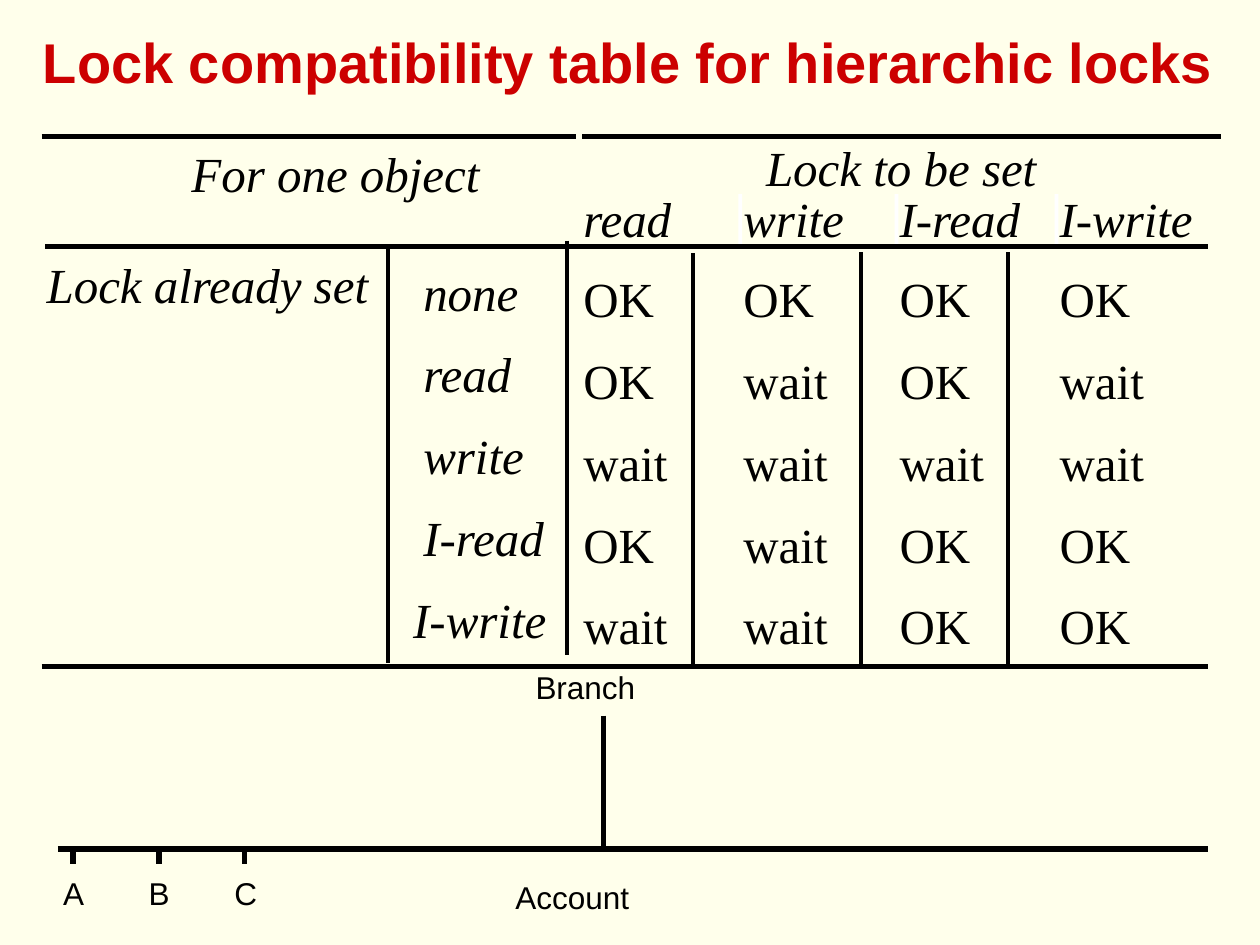
"""Build the slide on lock compatibility for hierarchic locks."""
from lxml.etree import SubElement
from pptx import Presentation
from pptx.dml.color import RGBColor
from pptx.enum.shapes import MSO_CONNECTOR as LINK, MSO_SHAPE as FORM
from pptx.enum.text import MSO_ANCHOR as ANCHOR, MSO_AUTO_SIZE as FIT, PP_ALIGN as ALIGN
from pptx.oxml.ns import qn
from pptx.util import Inches as Inch, Pt

hue = RGBColor.from_string
deck = Presentation()
deck.slide_width, deck.slide_height = Inch(10), Inch(7.5)
slide = deck.slides.add_slide(deck.slide_layouts[5])
slide.background.fill.solid()
slide.background.fill.fore_color.rgb = hue("FFFFEB")
shapes = slide.shapes


def write(text, x, y, wide, high=0.47, shape=None, size=28, face="Times New Roman",
          color="000000", bold=False, slant=False):
    box = shape or shapes.add_textbox(0, 0, 0, 0)
    box.left, box.top, box.width, box.height = map(Inch, (x, y, wide, high))
    frame = box.text_frame
    frame.text = text
    frame.word_wrap = shape is not None
    frame.auto_size = FIT.SHAPE_TO_FIT_TEXT
    frame.vertical_anchor = ANCHOR.TOP
    frame.margin_left = frame.margin_right = Inch(0.1 if shape else 0)
    frame.margin_top = frame.margin_bottom = Inch(0.05 if shape else 0)
    para = frame.paragraphs[0]
    para.alignment = ALIGN.LEFT
    font = para.runs[0].font
    font.size, font.name, font.bold, font.italic = Pt(size), face, bold, slant
    font.color.rgb = hue(color)


def rule(x1, y1, x2, y2, thick):
    line = shapes.add_connector(LINK.STRAIGHT, *map(Inch, (x1, y1, x2, y2)))
    line.line.color.rgb = hue("000000")
    line.line.width = Pt(thick)
    SubElement(line._element.spPr, qn("a:effectLst"))


write("Lock compatibility table for hierarchic locks", 0.24, 0.17, 9.5, 0.64,
      shape=shapes.title, size=32, face="Arial", color="CC0000", bold=True)

write("For one object", 1.52, 1.14, 2.3, slant=True)
write("Lock to be set", 6.08, 1.09, 2.16, slant=True)
write("Lock already set", 0.37, 2.02, 2.58, slant=True)

wides = {"none": 0.77, "read": 0.72, "write": 0.81, "I-read": 0.98, "I-write": 1.07,
         "OK": 0.58, "wait": 0.68}
cols = [4.63, 5.9, 7.14, 8.41]
modes = ["read", "write", "I-read", "I-write"]
for mode, x in zip(modes, cols):
    write(mode, x, 1.5, wides[mode], slant=True)

for x in cols[1:]:
    strip = shapes.add_shape(FORM.RECTANGLE, *map(Inch, (x - 0.04, 1.54, 0.03, 0.42)))
    strip.shadow.inherit = False
    strip.fill.solid()
    strip.fill.fore_color.rgb = hue("FFFFFF")
    strip.line.fill.background()

top, pitch = 2.13, 0.65
grid = {
    "none": ["OK", "OK", "OK", "OK"],
    "read": ["OK", "wait", "OK", "wait"],
    "write": ["wait", "wait", "wait", "wait"],
    "I-read": ["OK", "wait", "OK", "OK"],
    "I-write": ["wait", "wait", "OK", "OK"],
}
for row, (held, cells) in enumerate(grid.items()):
    y = top + row * pitch
    write(held, 3.28 if held == "I-write" else 3.36, y - 0.05, wides[held], slant=True)
    for cell, x in zip(cells, cols):
        write(cell, x, y, wides[cell])

for x1, x2, y in [(0.33, 4.57, 1.08), (4.62, 9.69, 1.08), (0.36, 9.59, 1.96),
                  (0.33, 9.59, 5.29)]:
    rule(x1, y, x2, y, 2.86)
for x, y in [(3.08, 1.97), (4.5, 1.91), (5.5, 2.01), (6.83, 2), (8, 2)]:
    rule(x, y, x, y + 3.29, 2.25)

base = 6.74
write("Branch", 4.25, 5.3, 0.82, 0.3, size=18, face="Arial")
write("Account", 4.09, 6.97, 0.93, 0.3, size=18, face="Arial")
rule(4.79, 5.68, 4.79, base, 3.25)
rule(0.46, base, 9.59, base, 3.25)
for i, name in enumerate("ABC"):
    x = 0.5 + i * 0.68
    write(name, x, 6.94, 0.19, 0.3, size=18, face="Arial")
    rule(x + 0.08, base, x + 0.08, base + 0.12, 3.25)

deck.save("out.pptx")
